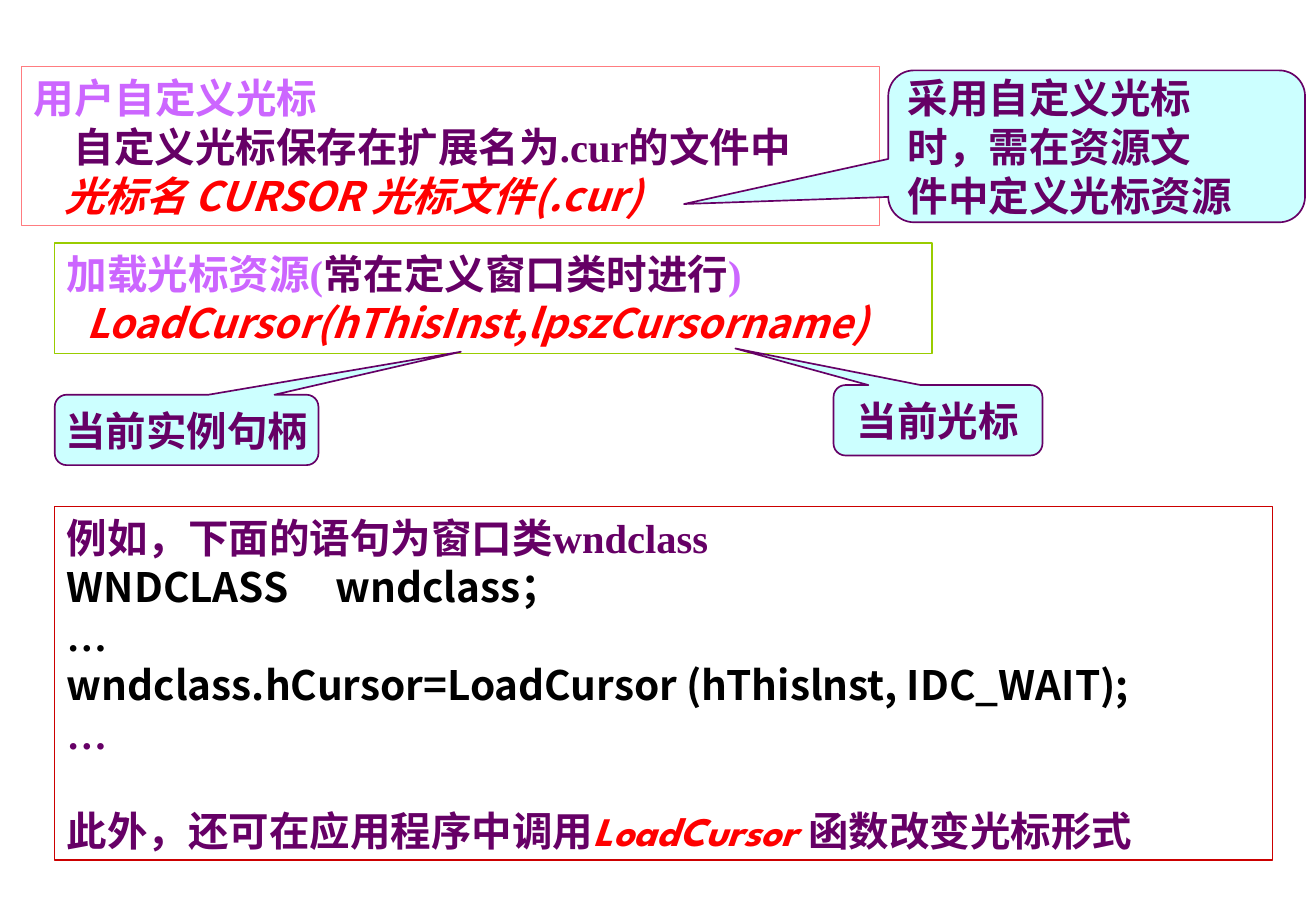
from lxml import etree
from pptx import Presentation
from pptx import util as u
from pptx.dml.color import RGBColor
from pptx.enum import shapes, text
from pptx.oxml.ns import qn

INK = {
    "plum": "660066", "lilac": "CC66FF", "red": "FF0000", "black": "000000",
    "sky": "CCFFFF", "rose": "FF7C80", "lime": "99CC00", "brick": "CC0000",
}
SERIF, SANS, SPARTAN = "Times New Roman", "Noto Sans CJK SC", "League Spartan"
LOOK = {
    "body": (SERIF, "plum", False),
    "head": (SERIF, "lilac", False),
    "code": (SANS, "black", False),
    "dots": (SERIF, "black", False),
    "call": (SANS, "red", True),
    "name": (SPARTAN, "red", True),
}


class Board:
    size = u.Pt(24)
    pitch = u.Pt(29)

    def __init__(self, deck):
        self.deck = deck
        self.slide = deck.slides.add_slide(deck.slide_layouts[6])

    def style(self, font, look):
        font.name, ink, font.italic = LOOK[look]
        font.size = self.size
        font.bold = True
        font.color.rgb = RGBColor.from_string(INK[ink])

    def shape(self, kind, area, line, width):
        wide, high = self.deck.slide_width, self.deck.slide_height
        spot = [round(share * side / 100) for share, side in zip(area, (wide, high) * 2)]
        shape = self.slide.shapes.add_shape(kind, *spot)
        shape.shadow.inherit = False
        shape.line.color.rgb = RGBColor.from_string(INK[line])
        shape.line.width = u.Pt(width)
        return shape

    def letter(self, frame, lines, align):
        for row, (runs, indent, before, tab) in enumerate(lines):
            para = frame.add_paragraph() if row else frame.paragraphs[0]
            para.alignment = align
            para.line_spacing = self.pitch
            if before:
                para.space_before = u.Pt(before)
            props = para._p.get_or_add_pPr()
            if indent:
                props.set("indent", str(u.Inches(indent)))
            if tab:
                stops = etree.SubElement(props, qn("a:tabLst"))
                etree.SubElement(stops, qn("a:tab"), pos=str(u.Inches(tab)), algn="l")
            if len(runs) == 1:
                self.style(para.font, runs[0][1])
            for words, look in runs:
                run = para.add_run()
                run.text = words
                if len(runs) > 1:
                    self.style(run.font, look)

    def panel(self, area, line, lines):
        box = self.shape(shapes.MSO_SHAPE.RECTANGLE, area, line, 0.75)
        box.fill.background()
        box.text_frame.word_wrap = True
        box.text_frame.vertical_anchor = text.MSO_ANCHOR.TOP
        self.letter(box.text_frame, lines, text.PP_ALIGN.LEFT)

    def callout(self, area, tip, rows, align=text.PP_ALIGN.CENTER):
        kind = shapes.MSO_SHAPE.ROUNDED_RECTANGULAR_CALLOUT
        note = self.shape(kind, area, "plum", 1)
        for spot, value in enumerate((*tip, 0.17)):
            note.adjustments[spot] = value
        note.fill.solid()
        note.fill.fore_color.rgb = RGBColor.from_string(INK["sky"])
        note.text_frame.word_wrap = False
        note.text_frame.vertical_anchor = text.MSO_ANCHOR.MIDDLE
        self.letter(note.text_frame, [line((row, "body")) for row in rows], align)


def line(*runs, indent=0, before=0, tab=0):
    return runs, indent, before, tab


def main():
    deck = Presentation()
    deck.slide_width, deck.slide_height = u.Inches(10.83), u.Inches(7.5)
    board = Board(deck)
    left = 4.16

    board.panel((left, 55.6, 92.52, 38.8), "brick", [
        line(("例如，下面的语句为窗口类wndclass", "body")),
        line(("WNDCLASS\twndclass；", "code"), tab=2.21),
        line(("…", "dots")),
        line(("wndclass.hCursor=LoadCursor (hThislnst, IDC_WAIT);", "code")),
        line(("…", "body")),
        line(("此外，还可在应用程序中调用", "body"), ("LoadCursor ", "name"),
             ("函数改变光标形式", "body"), before=29),
    ])
    board.panel((1.66, 7.33, 65.19, 17.47), "rose", [
        line(("用户自定义光标", "head")),
        line(("自定义光标保存在扩展名为.cur的文件中", "body"), indent=0.33),
        line(("光标名 CURSOR 光标文件(.cur)", "call"), indent=0.25),
    ])
    board.callout((67.5, 7.73, 31.67, 16.67), (-0.99, 0.38),
                  ["采用自定义光标", "时，需在资源文", "件中定义光标资源"],
                  text.PP_ALIGN.LEFT)
    board.panel((left, 26.67, 66.67, 12.13), "lime", [
        line(("加载光标资源(", "head"), ("常在定义窗口类时进行", "body"), (")", "head")),
        line(("LoadCursor(hThisInst,lpszCursorname)", "call"), indent=0.16),
    ])
    board.callout((left, 43.33, 20.04, 7.73), (1.04, -1.11), ["当前实例句柄"])
    board.callout((63.34, 42.27, 15.88, 7.73), (-0.97, -1.02), ["当前光标"])

    deck.save("out.pptx")


if __name__ == "__main__":
    main()
